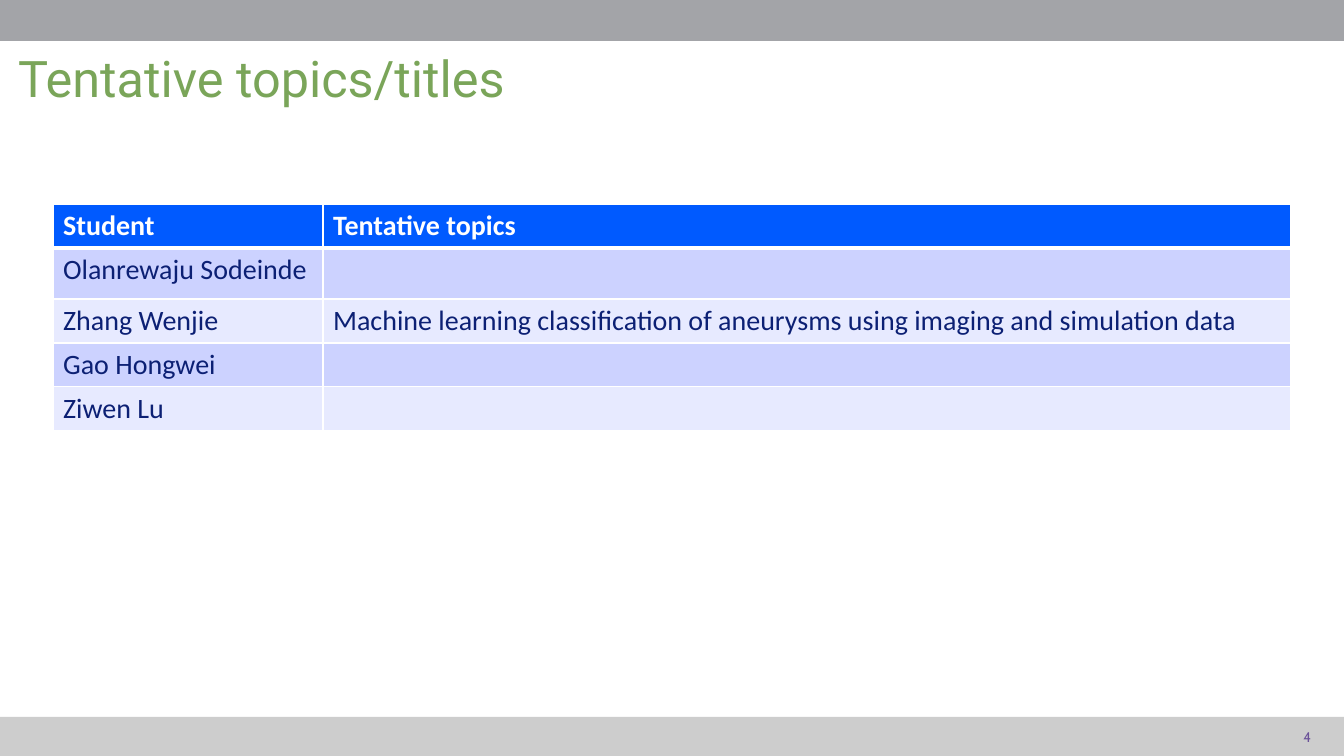
from lxml.etree import SubElement as Sub
from pptx import Presentation
from pptx.dml.color import RGBColor as Color
from pptx.enum.shapes import MSO_SHAPE as Shape
from pptx.enum.text import MSO_ANCHOR as Anchor, PP_ALIGN as Align
from pptx.oxml.ns import qn
from pptx.util import Emu, Pt

WIDE, HIGH = 1344, 756
HUES = {
    "top": "A3A4A8", "foot": "CDCDCD", "title": "7AA559", "page": "6B5299",
    "head": "005AFF", "odd": "CCD2FF", "even": "E7EAFF",
    "ink": "0C2074", "white": "FFFFFF",
}
ROWS = [
    ("Student", "Tentative topics"),
    ("Olanrewaju Sodeinde", ""),
    ("Zhang Wenjie", "Machine learning classification of aneurysms using imaging and simulation data"),
    ("Gao Hongwei", ""),
    ("Ziwen Lu", ""),
]
COLS = [270, 968]
TALL = [44, 51, 44, 44, 44]


def px(num):
    return Emu(round(num * 914400 / 100.8))


def hue(name):
    return Color.from_string(HUES[name])


def write(frame, text, font, size, ink, bold=False, align=Align.LEFT):
    para = frame.paragraphs[0]
    para.alignment = align
    run = para.add_run()
    run.text = text
    run.font.name = font
    run.font.size = Pt(size)
    run.font.bold = bold
    run.font.color.rgb = hue(ink)


def add_bar(slide, top, high, fill):
    bar = slide.shapes.add_shape(Shape.RECTANGLE, 0, px(top), px(WIDE), px(high))
    bar.shadow.inherit = False
    bar.fill.solid()
    bar.fill.fore_color.rgb = hue(fill)
    bar.line.fill.background()


def add_title(slide, text):
    title = slide.shapes.title
    title.left, title.top = px(8), px(42)
    title.width, title.height = px(1336), px(118)
    title.text_frame.vertical_anchor = Anchor.TOP
    write(title.text_frame, text, "Roboto", 36, "title")


def add_page(slide, text):
    box = slide.shapes.add_textbox(px(1254), px(718), px(67), px(38))
    frame = box.text_frame
    frame.word_wrap = True
    frame.vertical_anchor = Anchor.MIDDLE
    write(frame, text, "Cabin", 10, "page", align=Align.RIGHT)


def add_edge(cell, side, width):
    props = cell._tc.get_or_add_tcPr()
    edge = Sub(props, qn("a:ln" + side), w=str(Pt(width)))
    fill = Sub(edge, qn("a:solidFill"))
    Sub(fill, qn("a:srgbClr"), val=HUES["white"])


def fill_cell(cell, text, row):
    head = row == 0
    for side in "LRTB":
        thick = (head and side == "B") or (row == 1 and side == "T")
        add_edge(cell, side, 3 if thick else 1)
    cell.fill.solid()
    cell.fill.fore_color.rgb = hue("head" if head else "odd" if row % 2 else "even")
    if text:
        write(cell.text_frame, text, "Calibri", 20, "white" if head else "ink", head)


def add_grid(slide):
    grid = slide.shapes.add_table(
        len(ROWS), len(COLS), px(53), px(204), px(sum(COLS)), px(sum(TALL))
    ).table
    for col, wide in zip(grid.columns, COLS):
        col.width = px(wide)
    for row, high in zip(grid.rows, TALL):
        row.height = px(high)
    for row, texts in enumerate(ROWS):
        for col, text in enumerate(texts):
            fill_cell(grid.cell(row, col), text, row)


def main():
    deck = Presentation()
    deck.slide_width, deck.slide_height = px(WIDE), px(HIGH)
    slide = deck.slides.add_slide(deck.slide_layouts[5])
    add_bar(slide, 717, 39, "foot")
    add_bar(slide, 0, 41, "top")
    add_page(slide, "4")
    add_title(slide, "Tentative topics/titles")
    add_grid(slide)
    deck.save("out.pptx")


if __name__ == "__main__":
    main()
